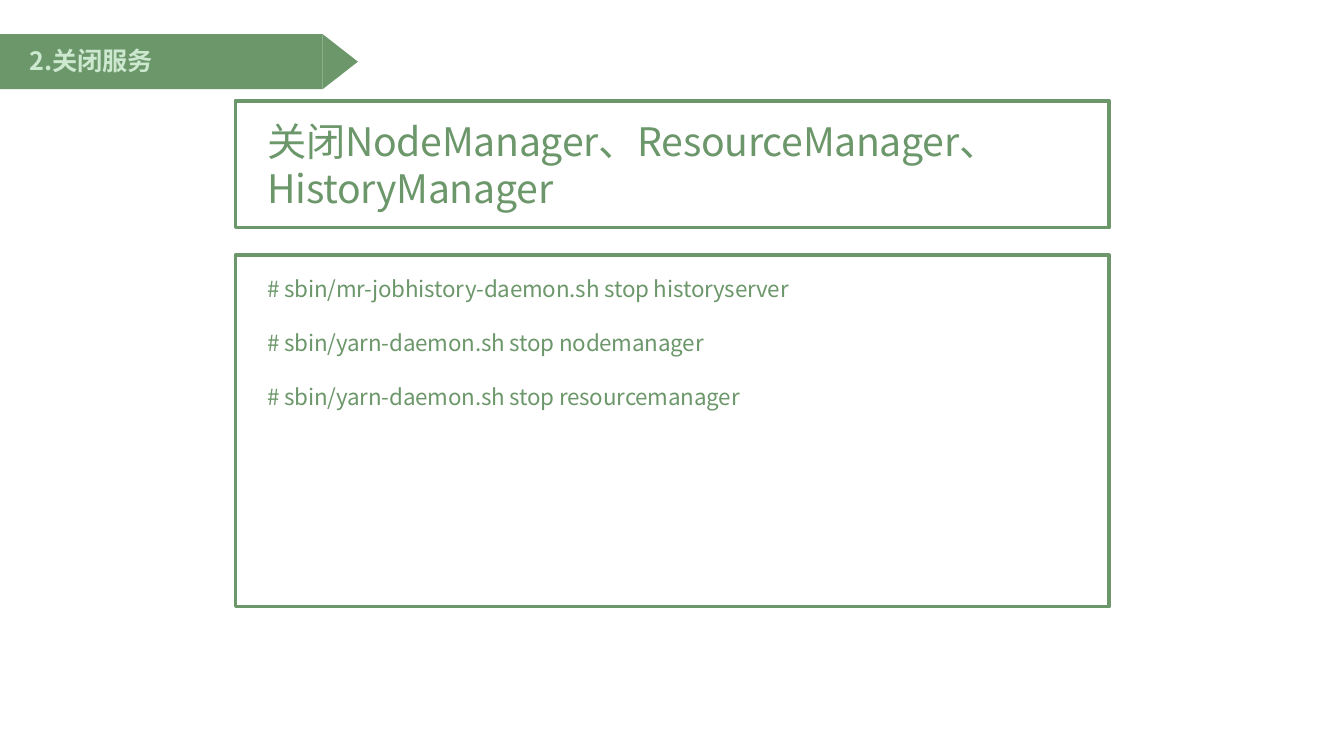
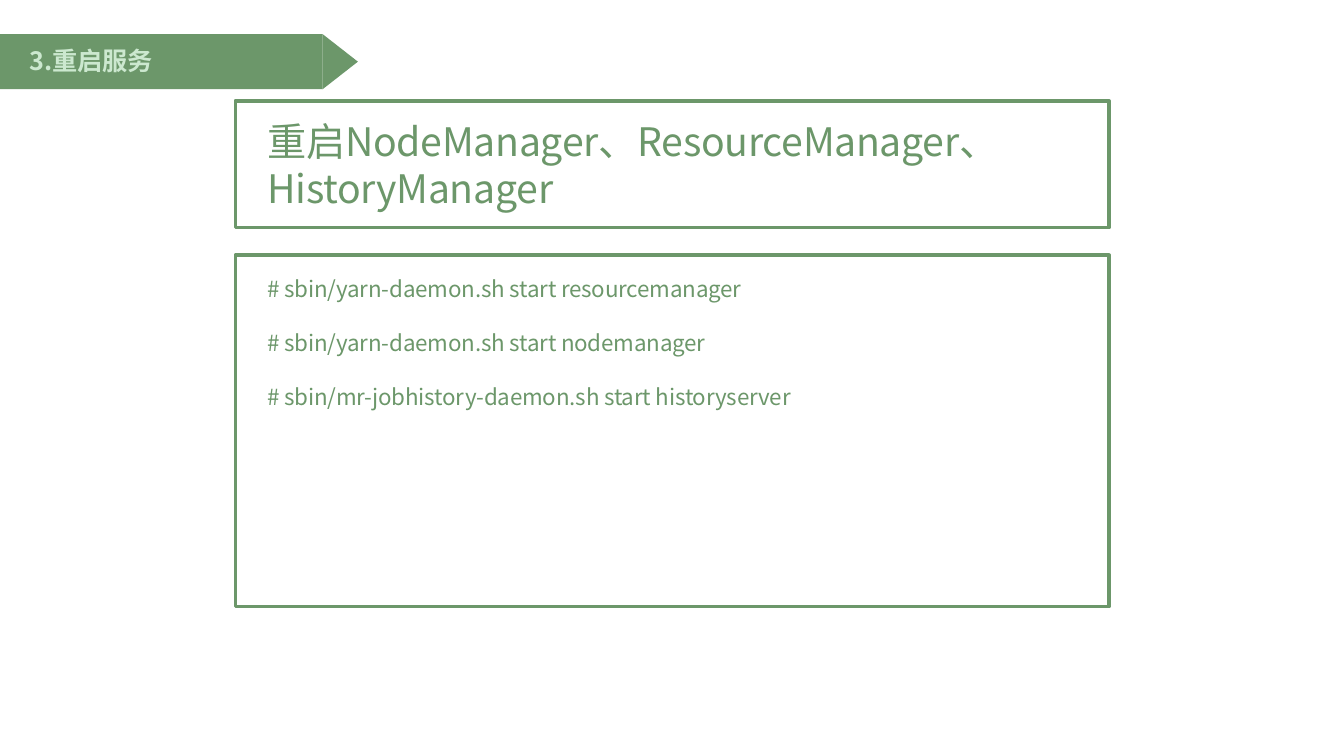
from pptx import Presentation
from pptx.dml.color import RGBColor
from pptx.enum.shapes import MSO_SHAPE
from pptx.enum.text import MSO_ANCHOR, PP_ALIGN
from pptx.oxml.ns import qn
from pptx.util import Cm, Pt
from lxml.etree import SubElement

GREEN = RGBColor(0x6C, 0x97, 0x6A)
PALE = RGBColor(0xCC, 0xE8, 0xCF)
FONT = "Noto Sans CJK SC"
LEFT, WIDTH = 5.93, 22.02

SLIDES = [
    ("2.关闭服务", "关闭", [
        "# sbin/mr-jobhistory-daemon.sh stop historyserver",
        "# sbin/yarn-daemon.sh stop nodemanager",
        "# sbin/yarn-daemon.sh stop resourcemanager",
    ]),
    ("3.重启服务", "重启", [
        "# sbin/yarn-daemon.sh start resourcemanager",
        "# sbin/yarn-daemon.sh start nodemanager",
        "# sbin/mr-jobhistory-daemon.sh start historyserver",
    ]),
]


class Deck:
    def __init__(self):
        self.prs = Presentation()
        self.prs.slide_width = Cm(33.87)
        self.prs.slide_height = Cm(19.05)
        self.slide = None

    def add(self):
        self.slide = self.prs.slides.add_slide(self.prs.slide_layouts[6])

    def rect(self, x, y, w, h):
        box = self.slide.shapes.add_shape(
            MSO_SHAPE.RECTANGLE, Cm(x), Cm(y), Cm(w), Cm(h))
        box.shadow.inherit = False
        return box

    def text(self, box, lines, size, inset, color=GREEN, bold=False,
             gap=0, track=-0.1):
        """Fill a box from its top; inset is (left, top) in cm."""
        frame = box.text_frame
        frame.word_wrap = True
        frame.vertical_anchor = MSO_ANCHOR.TOP
        frame.margin_left, frame.margin_top = Cm(inset[0]), Cm(inset[1])
        frame.margin_right = frame.margin_bottom = 0
        for i, line in enumerate(lines):
            par = frame.add_paragraph() if i else frame.paragraphs[0]
            par.alignment = PP_ALIGN.LEFT
            if i and gap:
                par.space_before = Pt(gap)
            run = par.add_run()
            run.text = line
            font = run.font
            font.name, font.size, font.bold = FONT, Pt(size), bold
            font.color.rgb = color
            props = run._r.get_or_add_rPr()
            props.set("spc", str(round(track * 100)))
            SubElement(props, qn("a:ea")).set("typeface", FONT)

    def banner(self, title):
        top, high, wide, tip = 0.86, 1.39, 8.13, 0.89
        edge = self.slide.shapes.build_freeform(Cm(wide), Cm(top))
        edge.add_line_segments([
            (Cm(wide), Cm(top + high)),
            (Cm(wide + tip), Cm(top + high / 2)),
        ], close=True)
        head = edge.convert_to_shape()
        head.shadow.inherit = False
        body = self.rect(0, top, wide, high)
        for part in (head, body):
            part.fill.solid()
            part.fill.fore_color.rgb = GREEN
            part.line.fill.background()
        self.text(body, [title], 18, (0.74, 0.29), PALE, bold=True)

    def panel(self, top, high, lines, size, pad, **style):
        box = self.rect(LEFT, top, WIDTH, high)
        box.fill.background()
        box.line.color.rgb = GREEN
        box.line.width = Pt(2.5)
        self.text(box, lines, size, (0.81, pad), **style)


def main():
    deck = Deck()
    for title, verb, steps in SLIDES:
        deck.add()
        deck.banner(title)
        deck.panel(6.43, 8.86, steps, 16, 0.51, gap=19.2)
        names = [verb + "NodeManager、ResourceManager、", "HistoryManager"]
        deck.panel(2.54, 3.2, names, 28, 0.41, track=-0.2)
    deck.prs.save("out.pptx")


if __name__ == "__main__":
    main()
